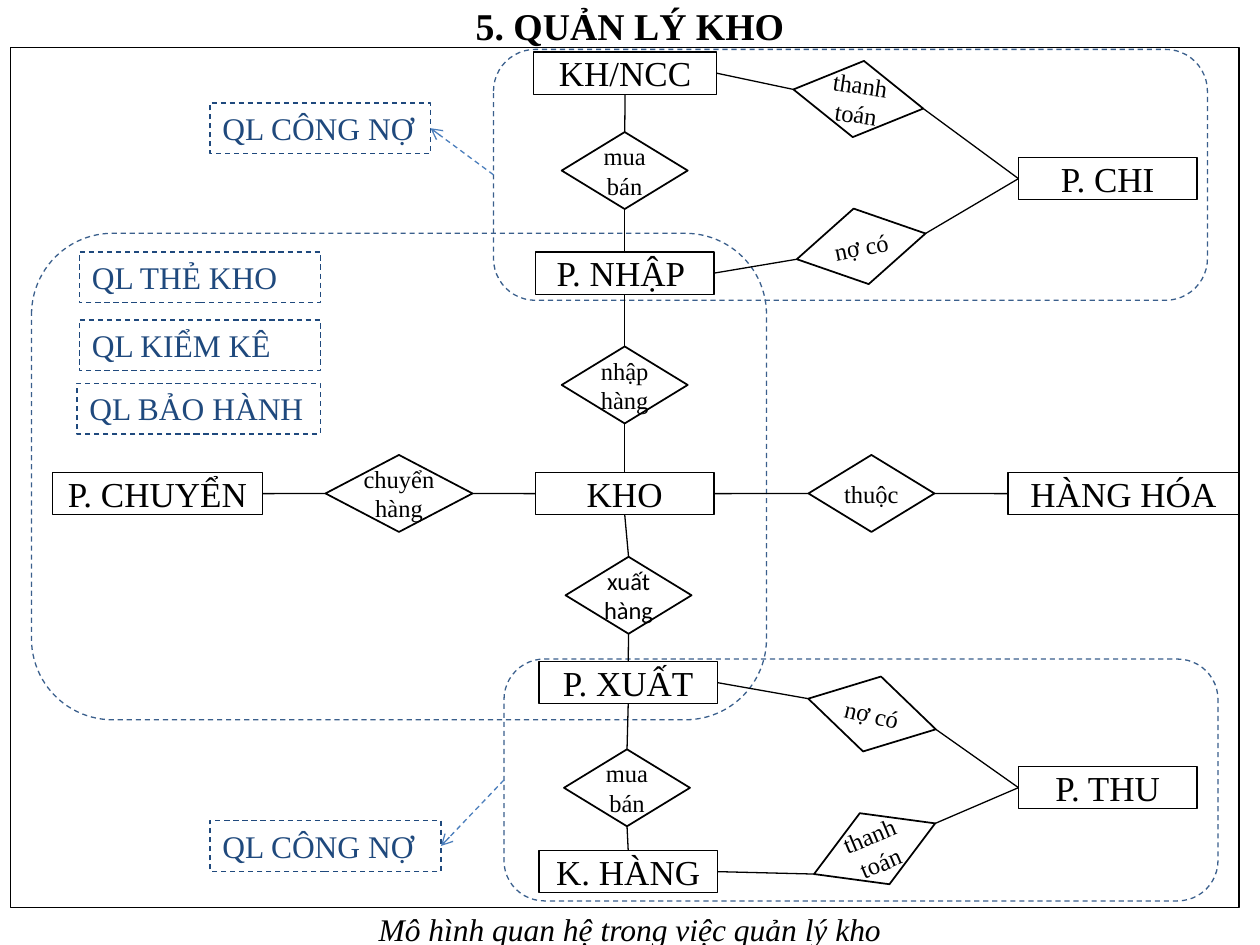
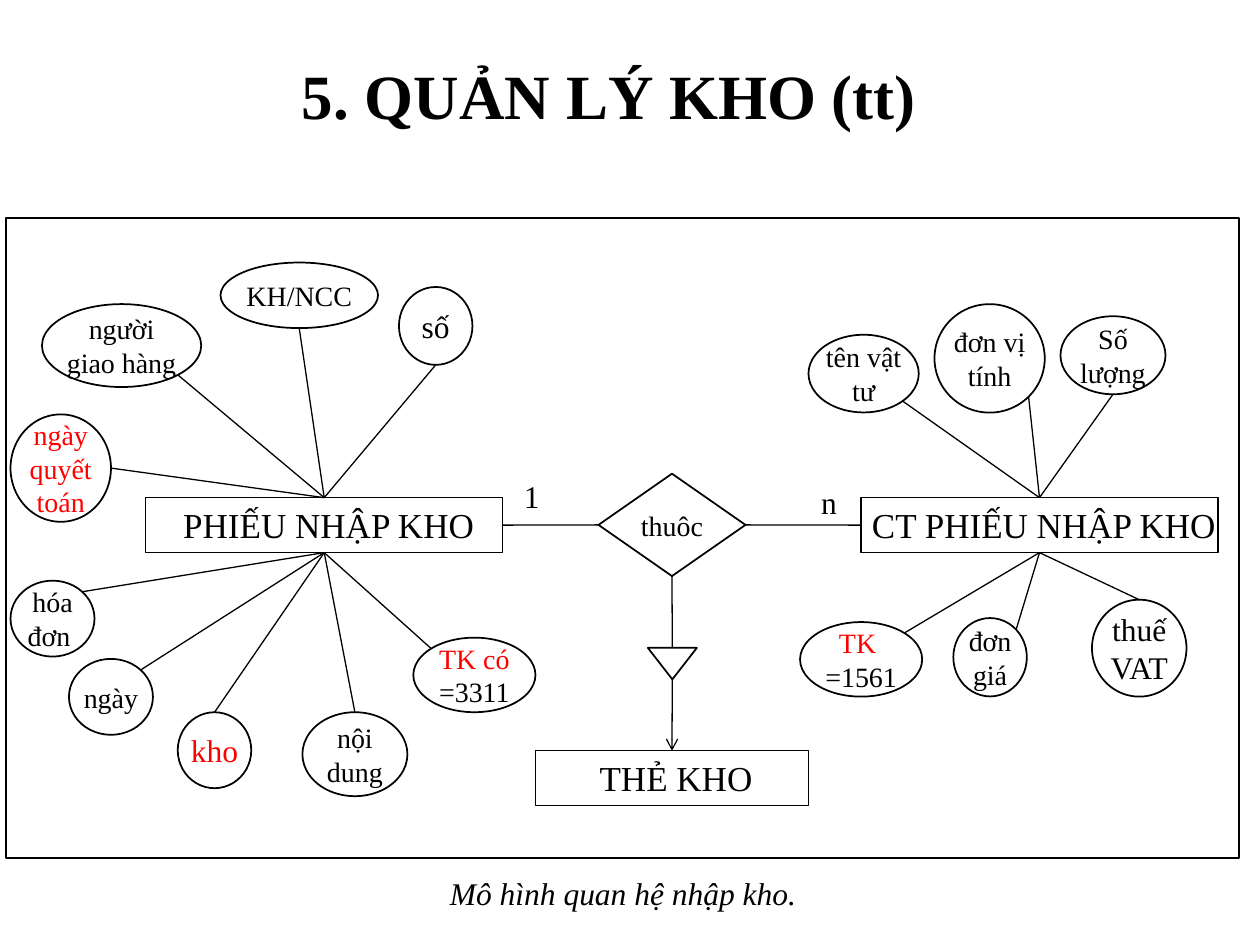
import math
from dataclasses import dataclass, replace

import lxml.etree
import pptx
import pptx.dml.color
import pptx.enum.dml
import pptx.enum.shapes
import pptx.enum.text
import pptx.oxml.ns
import pptx.util

Pt = pptx.util.Pt
GEOMETRY = pptx.enum.shapes.MSO_SHAPE
ANCHOR = pptx.enum.text.MSO_ANCHOR
ALIGN = pptx.enum.text.PP_ALIGN

COLOURS = {
    "ink": "000000",
    "red": "FF0000",
    "note": "1F497D",
    "group": "3A5F8C",
    "arrow": "4B7EBC",
}
SERIF = "Times New Roman"


@dataclass(frozen=True)
class Style:
    """Look of one kind of diagram element; no geometry means a text box."""
    geometry: GEOMETRY | None = None
    size: float = 18
    font: str = SERIF
    colour: str = "ink"
    line: str = "ink"
    line_width: float = 0.75
    dashed: bool = False
    insets: tuple[float, float] = (7.2, 3.6)
    middle: bool = False
    centred: bool = True
    grow: bool = False
    bold: bool = False
    italic: bool = False


@dataclass(frozen=True)
class Node:
    """A placed element; each line of text is a paragraph."""
    style: Style
    text: str
    left: float
    top: float
    width: float
    height: float
    rotation: float = 0
    second_colour: str = ""

    def site(self, side: str) -> tuple[float, float]:
        """Point on the outline: T, B, L, R or, on an ellipse, a diagonal such as TR."""
        reach = 1 if len(side) == 1 else math.sqrt(0.5)
        across = reach * (("R" in side) - ("L" in side)) * self.width / 2
        down = reach * (("B" in side) - ("T" in side)) * self.height / 2
        angle = math.radians(self.rotation)
        return (
            self.left + self.width / 2 + across * math.cos(angle) - down * math.sin(angle),
            self.top + self.height / 2 + across * math.sin(angle) + down * math.cos(angle),
        )


@dataclass(frozen=True)
class Link:
    """A line between two sites, each written as node:side."""
    start: str
    end: str
    colour: str = "ink"
    dashed: bool = False
    arrow: bool = False


# Shared styles
TITLE = Style(size=36, bold=True, middle=True)
CAPTION = Style(italic=True, grow=True)
LABEL = Style(centred=False, grow=True)
ENTITY = Style(GEOMETRY.RECTANGLE, size=20, insets=(7.2, 0), grow=True)
FORM = replace(ENTITY, insets=(0, 3.6))
RELATION = Style(GEOMETRY.DIAMOND, size=14, line_width=1, insets=(0, 0), middle=True)
ATTRIBUTE = replace(RELATION, geometry=GEOMETRY.OVAL, size=16)
ATTRIBUTE_LARGE = replace(ATTRIBUTE, size=18)
ATTRIBUTE_RED = replace(ATTRIBUTE, colour="red")
GROUP = Style(GEOMETRY.ROUNDED_RECTANGLE, line="group", dashed=True)
NOTE = Style(GEOMETRY.RECTANGLE, colour="note", line="note", dashed=True,
             centred=False, grow=True)
FRAME = Style(GEOMETRY.RECTANGLE)


def rgb(name: str) -> pptx.dml.color.RGBColor:
    return pptx.dml.color.RGBColor.from_string(COLOURS[name])


def set_line(line, colour: str, width: float, dashed: bool) -> None:
    line.color.rgb = rgb(colour)
    line.width = Pt(width)
    if dashed:
        line.dash_style = pptx.enum.dml.MSO_LINE.DASH


def write_text(shape, node: Node) -> None:
    style = node.style
    frame = shape.text_frame
    frame.word_wrap = True
    frame.margin_left = frame.margin_right = Pt(style.insets[0])
    frame.margin_top = frame.margin_bottom = Pt(style.insets[1])
    frame.vertical_anchor = ANCHOR.MIDDLE if style.middle else ANCHOR.TOP
    if style.grow:
        frame.auto_size = pptx.enum.text.MSO_AUTO_SIZE.SHAPE_TO_FIT_TEXT
    for index, line in enumerate(node.text.split("\n")):
        paragraph = frame.add_paragraph() if index else frame.paragraphs[0]
        paragraph.alignment = ALIGN.CENTER if style.centred else ALIGN.LEFT
        run = paragraph.add_run()
        run.text = line
        run.font.name = style.font
        run.font.size = Pt(style.size)
        run.font.bold = style.bold
        run.font.italic = style.italic
        run.font.color.rgb = rgb(index and node.second_colour or style.colour)


def draw_node(slide, node: Node) -> None:
    style = node.style
    box = [Pt(value) for value in (node.left, node.top, node.width, node.height)]
    if style.geometry is None:
        shape = slide.shapes.add_textbox(*box)
    else:
        shape = slide.shapes.add_shape(style.geometry, *box)
        shape.shadow.inherit = False
        shape.fill.background()
        set_line(shape.line, style.line, style.line_width, style.dashed)
        shape.rotation = node.rotation
    if node.text:
        write_text(shape, node)


def draw_link(slide, link: Link, nodes: dict[str, Node]) -> None:
    ends = []
    for end in (link.start, link.end):
        name, side = end.split(":")
        ends += [Pt(value) for value in nodes[name].site(side)]
    connector = slide.shapes.add_connector(pptx.enum.shapes.MSO_CONNECTOR.STRAIGHT, *ends)
    set_line(connector.line, link.colour, 0.75, link.dashed)
    qn = pptx.oxml.ns.qn
    if link.arrow:
        line = connector.line._get_or_add_ln()
        lxml.etree.SubElement(line, qn("a:tailEnd"), type="arrow")
    lxml.etree.SubElement(connector._element.spPr, qn("a:effectLst"))


def draw_slide(presentation, nodes: dict[str, Node], links: list[Link]) -> None:
    slide = presentation.slides.add_slide(presentation.slide_layouts[6])
    for node in nodes.values():
        draw_node(slide, node)
    for link in links:
        draw_link(slide, link, nodes)


def entity(text: str, left: float, top: float, width: float = 102) -> Node:
    return Node(ENTITY, text, left, top, width, 24.2)


def form(text: str, left: float, top: float, width: float = 204) -> Node:
    return Node(FORM, text, left, top, width, 31.4)


def relation(text: str, left: float, top: float, width: float = 72,
             rotation: float = 0, style: Style = RELATION) -> Node:
    return Node(style, text, left, top, width, 44, rotation)


def note(text: str, left: float, top: float, width: float) -> Node:
    return Node(NOTE, text, left, top, width, 29)


# Slide 1: relations in warehouse management
WAREHOUSE_NODES = {
    "title": Node(replace(TITLE, size=21.6), "5. QUẢN LÝ KHO", 0, 0, 720, 29.5),
    "transfer": entity("P. CHUYỂN", 30, 270, 120),
    "issue": entity("P. XUẤT", 308, 378),
    "supplier": entity("KH/NCC", 305, 29.7, 104.4),
    "warehouse": entity("KHO", 306, 270),
    "customer": entity("K. HÀNG", 308, 486),
    "receipt": entity("P. NHẬP ", 306, 144),
    "goods": entity("HÀNG HÓA", 576, 270, 132),
    "payment": entity("P. CHI", 582, 90),
    "income": entity("P. THU", 582, 438),
    "buy": relation("mua\nbán", 321, 75.5),
    "stock in": relation("nhập hàng", 321, 198),
    "stock out": relation("xuất hàng", 323.2, 318.2,
                          style=replace(RELATION, font="Calibri")),
    "sell": relation("mua bán", 322.3, 428.2),
    "move": relation("chuyển hàng", 186, 260),
    "belong": relation("thuộc", 462, 260),
    "pay out": relation("thanh toán", 453, 34.6, 75, 8.4),
    "pay in": relation("thanh toán", 462.3, 463, 75, 337.3),
    "owe out": relation("nợ có", 454.6, 118.8, 75, 348.7),
    "owe in": relation("nợ có", 460.8, 386, 75, 13.5),
    "supplier group": Node(GROUP, "", 282, 28.2, 408, 143.4),
    "warehouse group": Node(GROUP, "", 18, 133.3, 420, 278),
    "customer group": Node(GROUP, "", 288, 376.6, 408, 138.2),
    "supplier debt": note("QL CÔNG NỢ", 120, 58.8, 126),
    "customer debt": note("QL CÔNG NỢ", 120, 468.9, 132),
    "stock card": note("QL THẺ KHO", 45.4, 144, 137.6),
    "stock count": note("QL KIỂM KÊ", 45.4, 182.8, 137.6),
    "warranty": note("QL BẢO HÀNH", 44, 219, 139),
    "caption": Node(CAPTION, "Mô hình quan hệ trong việc quản lý kho", 18, 516.2, 684, 29),
    "frame": Node(FRAME, "", 6, 27.3, 702, 491.5),
}
WAREHOUSE_NODES["move"] = replace(WAREHOUSE_NODES["move"], width=84)

# Vertical spine, horizontal spine, then the two debt loops
SPINE = ["supplier", "buy", "receipt", "stock in", "warehouse", "stock out",
         "issue", "sell", "customer"]
ROW = ["transfer", "move", "warehouse", "belong", "goods"]
WAREHOUSE_LINKS = [
    *(Link(f"{upper}:B", f"{lower}:T") for upper, lower in zip(SPINE, SPINE[1:])),
    *(Link(f"{before}:R", f"{after}:L") for before, after in zip(ROW, ROW[1:])),
]
for source, link_relation, target in [
    ("supplier", "pay out", "payment"),
    ("receipt", "owe out", "payment"),
    ("issue", "owe in", "income"),
    ("customer", "pay in", "income"),
]:
    WAREHOUSE_LINKS += [Link(f"{source}:R", f"{link_relation}:L"),
                        Link(f"{link_relation}:R", f"{target}:L")]
for party in ("supplier", "customer"):
    WAREHOUSE_LINKS.append(Link(f"{party} group:L", f"{party} debt:R", "arrow", True, True))

# Slide 2: relations of a goods receipt
RECEIPT_NODES = {
    "title": Node(TITLE, "5. QUẢN LÝ KHO (tt)", 24, 24, 648, 60),
    "receipt": form(" PHIẾU NHẬP KHO", 83.3, 284.4),
    "card": form(" THẺ KHO", 306, 429, 156),
    "detail": form(" CT PHIẾU NHẬP KHO", 492, 284.4),
    "number": Node(ATTRIBUTE_LARGE, "số", 228, 164, 42, 44.5),
    "invoice": Node(ATTRIBUTE, "hóa đơn ", 6, 331.8, 48, 43.4),
    "store": Node(replace(ATTRIBUTE_LARGE, colour="red"), "kho", 101.6, 407, 42, 43.4),
    "date": Node(ATTRIBUTE, "ngày", 39.4, 376.5, 48, 43.4),
    "supplier": Node(ATTRIBUTE, "KH/NCC", 126, 150, 90, 37.5),
    "deliverer": Node(ATTRIBUTE, "người giao hàng", 24, 173.8, 91, 47.4),
    "content": Node(ATTRIBUTE, "nội dung", 172.8, 407, 60, 48),
    "credit": Node(ATTRIBUTE_RED, "TK có\n=3311", 236.2, 364.4, 69.8, 42.6, 0, "ink"),
    "settled": Node(ATTRIBUTE_RED, "ngày quyết toán", 6, 236.8, 57.4, 61.4),
    "price": Node(ATTRIBUTE, "đơn giá", 544.8, 353.2, 42, 44.8),
    "item": Node(ATTRIBUTE, "tên vật tư", 462, 191.3, 63, 44.4),
    "unit": Node(ATTRIBUTE, "đơn vị tính", 534, 173.8, 63, 62),
    "quantity": Node(ATTRIBUTE, "Số lượng", 606, 180.7, 60, 44.6),
    "tax": Node(ATTRIBUTE_LARGE, "thuế VAT", 624, 342.7, 54, 55.4),
    "account": Node(ATTRIBUTE_RED, "TK \n=1561", 457.2, 355.5, 69.8, 42.6, 0, "ink"),
    "belong": Node(replace(RELATION, size=16), "thuôc", 342, 270.7, 84, 58.5),
    "triangle": Node(Style(GEOMETRY.ISOSCELES_TRIANGLE, line_width=1), "",
                     370.2, 370.2, 28, 18, 180),
    "one": Node(LABEL, "1", 292.3, 269.3, 27, 29),
    "many": Node(LABEL, "n", 462.2, 272.2, 27, 29),
    "caption": Node(CAPTION, "Mô hình quan hệ nhập kho.", 196.6, 496.1, 319, 29),
    "frame": Node(replace(FRAME, line_width=1), "", 3.6, 124.5, 704.4, 365.8),
}

# Attributes fan out from the top and bottom of each form
FANS = {
    "receipt:T": ["settled:R", "deliverer:BR", "supplier:B", "number:B"],
    "receipt:B": ["invoice:TR", "date:TR", "store:T", "content:T", "credit:TL"],
    "detail:T": ["item:BR", "unit:BR", "quantity:B"],
    "detail:B": ["account:TR", "price:TR", "tax:T"],
}
RECEIPT_LINKS = [
    *(Link(hub, end) for hub, ends in FANS.items() for end in ends),
    Link("receipt:R", "belong:L"),
    Link("belong:R", "detail:L"),
    Link("belong:B", "triangle:B"),
    Link("triangle:T", "card:T", arrow=True),
]


def main() -> None:
    presentation = pptx.Presentation()
    presentation.slide_width, presentation.slide_height = Pt(720), Pt(540)
    draw_slide(presentation, WAREHOUSE_NODES, WAREHOUSE_LINKS)
    draw_slide(presentation, RECEIPT_NODES, RECEIPT_LINKS)
    presentation.save("out.pptx")


if __name__ == "__main__":
    main()
